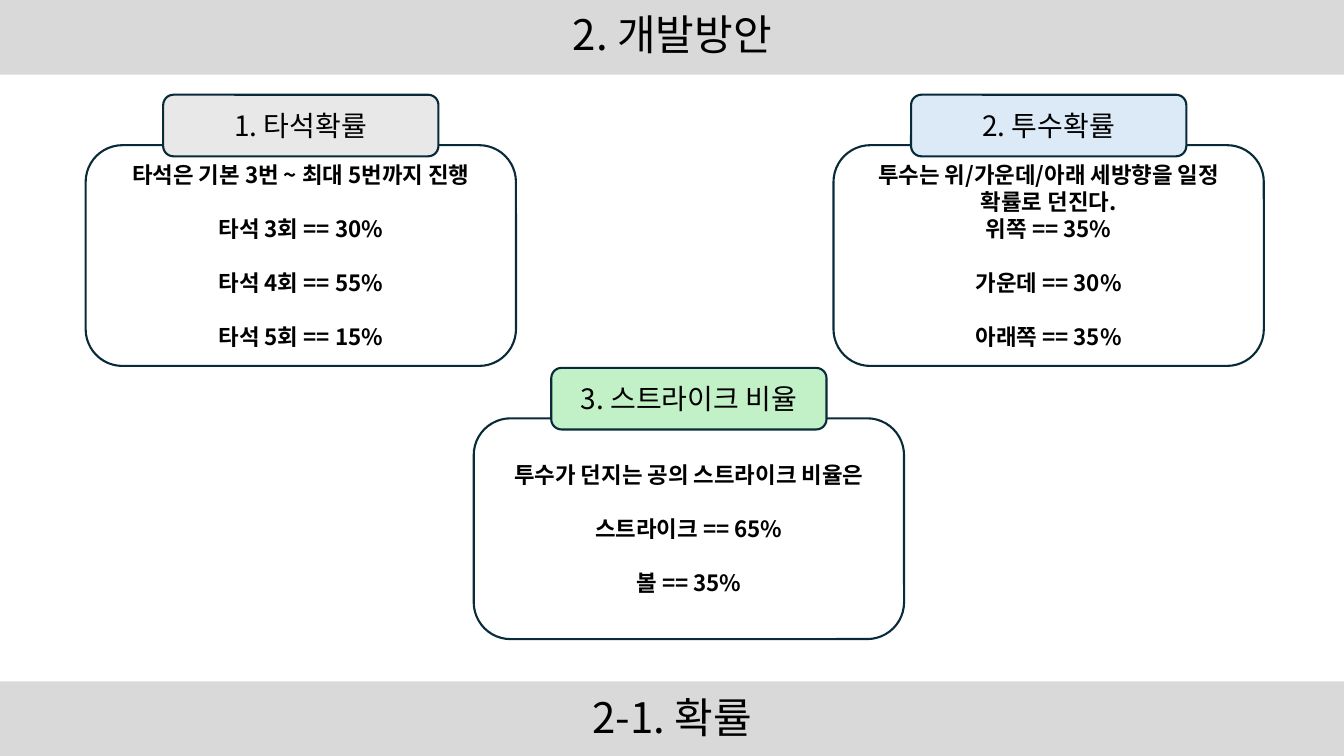
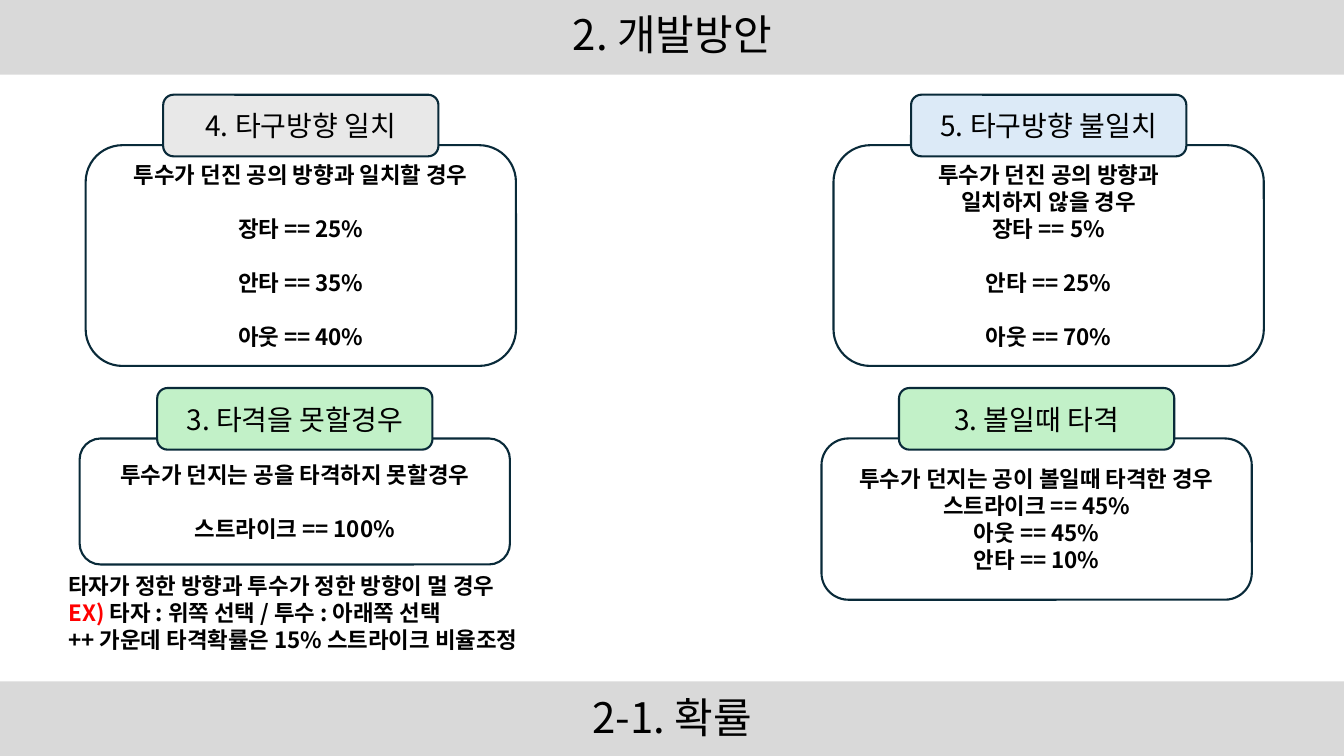
from dataclasses import dataclass
from typing import Optional

from lxml import etree
from pptx import Presentation
from pptx import util as u
from pptx.dml.color import RGBColor
from pptx.enum import shapes, text
from pptx.oxml import ns

COLOURS = {
    "black": "000000",
    "white": "FFFFFF",
    "red": "FF0000",
    "band": "D9D9D9",
    "outline": "092A39",
    "grey": "E8E8E8",
    "blue": "DCEAF7",
    "green": "C2F1C8",
}
FONT = "Noto Sans CJK KR"
PAGE_W, PAGE_H = 960, 540
BAND_H = 53.3
CARD_W = 307.4
TAB_W, TAB_H = 196.6, 44
TAB_RISE = 36
LINE_PITCH = 1.2
TITLE_SIZE, TAB_SIZE, BODY_SIZE = 30, 20, 16
CENTRE, LEFT = text.PP_ALIGN.CENTER, text.PP_ALIGN.LEFT


@dataclass(frozen=True)
class Box:
    left: float
    top: float
    width: float
    height: float

    def lengths(self) -> list[u.Length]:
        return [u.Pt(n) for n in (self.left, self.top, self.width, self.height)]


@dataclass(frozen=True)
class Span:
    words: str
    colour: str = "black"


Line = tuple[Span, ...]
Group = tuple[Line, ...]


def group(*lines: str) -> Group:
    return tuple((Span(line),) for line in lines)


@dataclass(frozen=True)
class Card:
    """A rounded panel with a tab on its top edge; one empty line parts its groups."""
    left: float
    top: float
    height: float
    fill: str
    heading: str
    groups: tuple[Group, ...]


@dataclass(frozen=True)
class Note:
    box: Box
    lines: Group


@dataclass(frozen=True)
class Page:
    cards: tuple[Card, ...]
    note: Optional[Note] = None


TITLE_BOX = Box(66.2, -4.3, 828, 61.2)
SUBTITLE_BOX = Box(66.2, 488.2, 828, 51.8)
UPPER_TOP, LOWER_TOP, UPPER_H = 103.7, 313.2, 157.7
UPPER_LEFT, UPPER_RIGHT = 61.2, 595.4

PAGES = (
    Page((
        Card(UPPER_LEFT, UPPER_TOP, UPPER_H, "grey", "1. 타석확률", (
            group("타석은 기본 3번 ~ 최대 5번까지 진행"),
            group("타석 3회 == 30%"),
            group("타석 4회 == 55%"),
            group("타석 5회 == 15%"),
        )),
        Card(UPPER_RIGHT, UPPER_TOP, UPPER_H, "blue", "2. 투수확률", (
            group("투수는 위/가운데/아래 세방향을 일정 확률로 던진다.", "위쪽 == 35%"),
            group("가운데 == 30%"),
            group("아래쪽 == 35%"),
        )),
        Card(338.4, 298.8, UPPER_H, "green", "3. 스트라이크 비율", (
            group("투수가 던지는 공의 스트라이크 비율은"),
            group("스트라이크 == 65%"),
            group("볼 == 35%"),
        )),
    )),
    Page((
        Card(UPPER_LEFT, UPPER_TOP, UPPER_H, "grey", "4. 타구방향 일치", (
            group("투수가 던진 공의 방향과 일치할 경우"),
            group("장타 == 25%"),
            group("안타 == 35%"),
            group("아웃 == 40%"),
        )),
        Card(UPPER_RIGHT, UPPER_TOP, UPPER_H, "blue", "5. 타구방향 불일치", (
            group("투수가 던진 공의 방향과", "일치하지 않을 경우", "장타 == 5%"),
            group("안타 == 25%"),
            group("아웃 == 70%"),
        )),
        Card(56.9, LOWER_TOP, 90, "green", "3. 타격을 못할경우", (
            group("투수가 던지는 공을 타격하지 못할경우"),
            group("스트라이크 == 100%"),
        )),
        Card(586.8, LOWER_TOP, 115.2, "green", "3. 볼일때 타격", (
            group("투수가 던지는 공이 볼일때 타격한 경우", "스트라이크 == 45%",
                  "아웃 == 45%", "안타 == 10%"),
        )),
    ), Note(Box(41.8, 405.4, 364.3, 65.5), (
        (Span("타자가 정한 방향과 투수가 정한 방향이 멀 경우"),),
        (Span("EX)", "red"), Span(" 타자 : 위쪽 선택 / 투수 : 아래쪽 선택")),
        (Span("++ 가운데 타격확률은 15% 스트라이크 비율조정"),),
    ))),
)


def colour(name: str) -> RGBColor:
    return RGBColor.from_string(COLOURS[name])


def write(frame, groups: tuple[Group, ...], size: float, bold: bool = False,
          align=CENTRE, spacing=None, anchor=text.MSO_ANCHOR.MIDDLE) -> None:
    frame.word_wrap = True
    frame.vertical_anchor = anchor
    pitch = u.Pt(size * LINE_PITCH)
    para = None
    for lines in groups:
        for index, line in enumerate(lines):
            first = para is None
            para = frame.paragraphs[0] if first else frame.add_paragraph()
            para.alignment = align
            para.line_spacing = spacing or pitch
            para.space_before = pitch if index == 0 and not first else u.Pt(0)
            for span in line:
                run = para.add_run()
                run.text = span.words
                run.font.size = u.Pt(size)
                run.font.bold = bold
                run.font.color.rgb = colour(span.colour)
                run.font.name = FONT
                east_asian = etree.SubElement(run.font._element, ns.qn("a:ea"))
                east_asian.set("typeface", FONT)


def add_filled(page, kind, box: Box, fill: str, outline: Optional[str] = None):
    shape = page.shapes.add_shape(kind, *box.lengths())
    shape.shadow.inherit = False
    shape.fill.solid()
    shape.fill.fore_color.rgb = colour(fill)
    if outline:
        shape.line.color.rgb = colour(outline)
        shape.line.width = u.Pt(1.5)
    else:
        shape.line.fill.background()
    return shape


def move_bands_to_layout(page, layout) -> None:
    """Draw both bands on the page, then hand them to the layout behind its parts."""
    for top in (0, PAGE_H - BAND_H):
        band = add_filled(page, shapes.MSO_SHAPE.RECTANGLE,
                          Box(0, top, PAGE_W, BAND_H), "band")
        layout.shapes._spTree.insert(2, band._element)


def add_titles(page) -> None:
    title = page.shapes.title
    title.left, title.top, title.width, title.height = TITLE_BOX.lengths()
    subtitle = page.shapes.add_textbox(*SUBTITLE_BOX.lengths())
    for shape, words in ((title, "2. 개발방안"), (subtitle, "2-1. 확률")):
        shape.text_frame.auto_size = text.MSO_AUTO_SIZE.NONE
        write(shape.text_frame, (group(words),), TITLE_SIZE, spacing=0.9)


def add_card(page, card: Card) -> None:
    rounded = shapes.MSO_SHAPE.ROUNDED_RECTANGLE
    panel = add_filled(page, rounded, Box(card.left, card.top, CARD_W, card.height),
                       "white", "outline")
    write(panel.text_frame, card.groups, BODY_SIZE, bold=True)
    tab_left = card.left + (CARD_W - TAB_W) / 2
    tab = add_filled(page, rounded, Box(tab_left, card.top - TAB_RISE, TAB_W, TAB_H),
                     card.fill, "outline")
    write(tab.text_frame, (group(card.heading),), TAB_SIZE)


def add_note(page, note: Note) -> None:
    box = page.shapes.add_textbox(*note.box.lengths())
    box.text_frame.auto_size = text.MSO_AUTO_SIZE.SHAPE_TO_FIT_TEXT
    write(box.text_frame, (note.lines,), BODY_SIZE, bold=True, align=LEFT,
          anchor=text.MSO_ANCHOR.TOP)


def main() -> None:
    deck = Presentation()
    deck.slide_width, deck.slide_height = u.Pt(PAGE_W), u.Pt(PAGE_H)
    layout = deck.slide_layouts.get_by_name("Title Only")
    for number, content in enumerate(PAGES):
        page = deck.slides.add_slide(layout)
        if number == 0:
            move_bands_to_layout(page, layout)
        add_titles(page)
        for card in content.cards:
            add_card(page, card)
        if content.note:
            add_note(page, content.note)
    deck.save("out.pptx")


if __name__ == "__main__":
    main()
